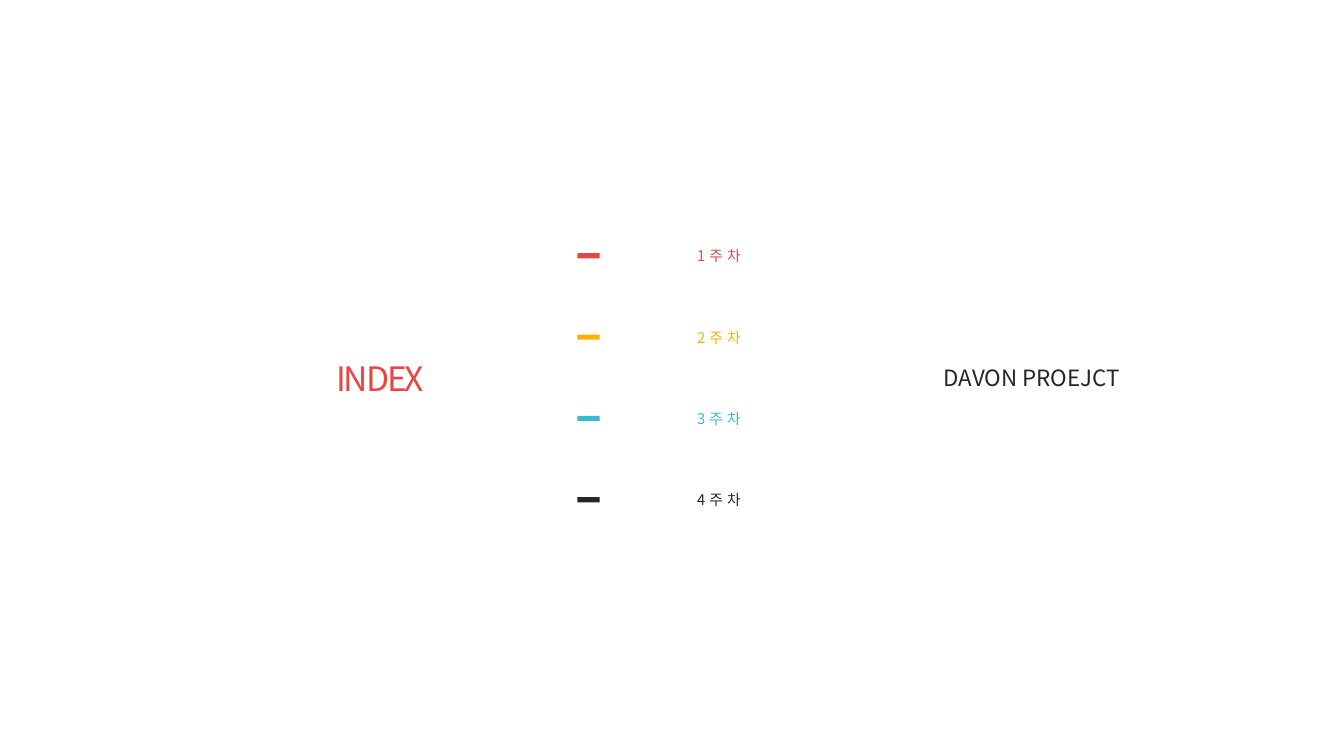
"""Build an index slide with four colour-coded weekly entries."""
from dataclasses import dataclass

from lxml import etree
from pptx import Presentation
from pptx.dml.color import RGBColor
from pptx.enum import shapes, text
from pptx.oxml import ns
from pptx.slide import Slide
from pptx.util import Cm, Pt

FONT = "Noto Sans CJK KR"
COLORS = {"red": "E94543", "yellow": "FEB100", "teal": "39BACF", "dark": "262626"}
ROW_PITCH = 2.05


@dataclass(frozen=True)
class Label:
    text: str
    left: float
    top: float
    width: float
    height: float
    size: float
    color: str
    spacing: float = 0
    align: text.PP_ALIGN = text.PP_ALIGN.CENTER


@dataclass(frozen=True)
class Week:
    title: str
    color: str


WEEKS = [Week("1주차", "red"), Week("2주차", "yellow"),
         Week("3주차", "teal"), Week("4주차", "dark")]


def write_label(sp, label: Label) -> None:
    sp.left, sp.top = Cm(label.left), Cm(label.top)
    sp.width, sp.height = Cm(label.width), Cm(label.height)
    tf = sp.text_frame
    tf.text = label.text
    tf.word_wrap = False
    tf.auto_size = text.MSO_AUTO_SIZE.SHAPE_TO_FIT_TEXT
    tf.vertical_anchor = text.MSO_ANCHOR.TOP
    p = tf.paragraphs[0]
    p.alignment = label.align
    p.line_spacing = 1.0
    p.space_before = Pt(0)
    p.font.name = FONT
    p.font.size = Pt(label.size)
    p.font.color.rgb = RGBColor.from_string(COLORS[label.color])
    props = p._p.get_or_add_pPr().get_or_add_defRPr()
    props.set("spc", str(round(label.spacing * 100)))
    etree.SubElement(props, ns.qn("a:ea"), typeface=FONT)


def add_label(s: Slide, label: Label) -> None:
    write_label(s.shapes.add_textbox(0, 0, 0, 0), label)


def add_week(s: Slide, week: Week, row: int) -> None:
    offset = row * ROW_PITCH
    sp = s.shapes.add_shape(shapes.MSO_SHAPE.RECTANGLE, Cm(14.55),
                            Cm(6.38 + offset), Cm(0.56), Cm(0.13))
    sp.shadow.inherit = False
    sp.fill.solid()
    sp.fill.fore_color.rgb = RGBColor.from_string(COLORS[week.color])
    sp.line.fill.background()
    add_label(s, Label(week.title, 17.32, 6.1 + offset, 1.78, 0.71, 10.5,
                       week.color, 3, text.PP_ALIGN.LEFT))


def main() -> None:
    prs = Presentation()
    prs.slide_width, prs.slide_height = Cm(33.87), Cm(19.05)
    s = prs.slides.add_slide(prs.slide_layouts[5])
    write_label(s.shapes.title,
                Label("INDEX", 8.13, 8.89, 2.9, 1.27, 24, "red", -1.5))
    add_label(s, Label("DAVON PROEJCT", 23.5, 9.04, 5, 0.94, 16, "dark"))
    for row, week in enumerate(WEEKS):
        add_week(s, week, row)
    prs.save("out.pptx")


if __name__ == "__main__":
    main()
